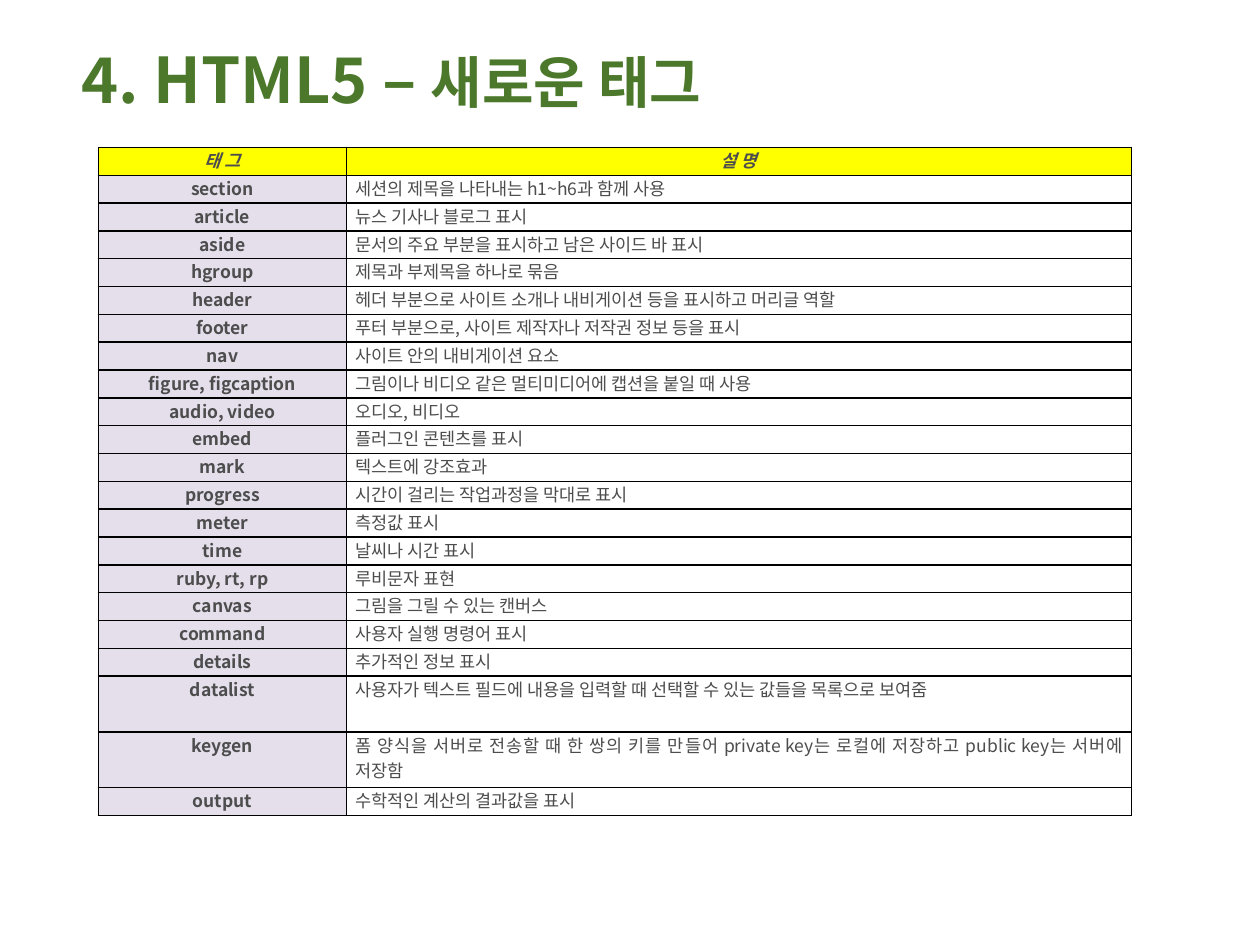
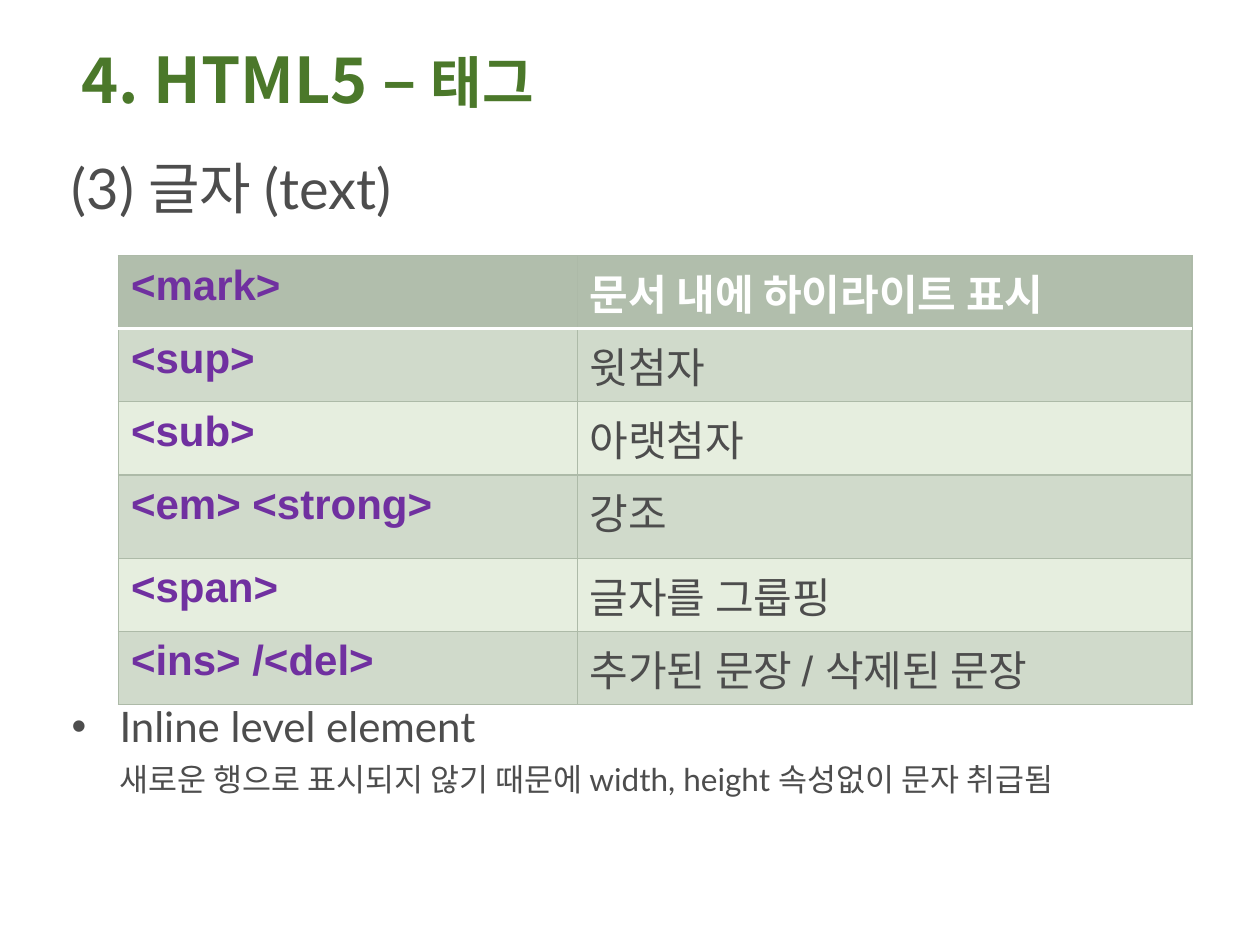
from pptx import Presentation
from pptx.dml.color import RGBColor
from pptx.enum.text import MSO_ANCHOR, PP_ALIGN
from pptx.oxml.ns import qn
from pptx.util import Inches, Pt
from lxml.etree import SubElement

GREEN = RGBColor(0x4B, 0x78, 0x2A)
GRAY = RGBColor(0x4D, 0x4D, 0x4D)
BLACK = RGBColor(0, 0, 0)
WHITE = RGBColor(0xFF, 0xFF, 0xFF)
YELLOW = RGBColor(0xFF, 0xFF, 0)
LILAC = RGBColor(0xE5, 0xDF, 0xEC)
PURPLE = RGBColor(0x70, 0x30, 0xA0)
SAGE = RGBColor(0xB1, 0xBE, 0xAC)
EDGE = RGBColor(0xAD, 0xBA, 0xA8)
BANDS = [RGBColor(0xD0, 0xDA, 0xCB), RGBColor(0xE6, 0xEE, 0xDF)]

KOREAN, BODY, CODE = "Noto Sans CJK KR", "Lato", "Arial"

NEW_TAGS = [
    ("section", "세션의 제목을 나타내는 h1~h6과 함께 사용"),
    ("article", "뉴스 기사나 블로그 표시"),
    ("aside", "문서의 주요 부분을 표시하고 남은 사이드 바 표시"),
    ("hgroup", "제목과 부제목을 하나로 묶음"),
    ("header", "헤더 부분으로 사이트 소개나 내비게이션 등을 표시하고 머리글 역할"),
    ("footer", "푸터 부분으로, 사이트 제작자나 저작권 정보 등을 표시"),
    ("nav", "사이트 안의 내비게이션 요소"),
    ("figure, figcaption", "그림이나 비디오 같은 멀티미디어에 캡션을 붙일 때 사용"),
    ("audio, video", "오디오, 비디오"),
    ("embed", "플러그인 콘텐츠를 표시"),
    ("mark", "텍스트에 강조효과"),
    ("progress", "시간이 걸리는 작업과정을 막대로 표시"),
    ("meter", "측정값 표시"),
    ("time", "날씨나 시간 표시"),
    ("ruby, rt, rp", "루비문자 표현"),
    ("canvas", "그림을 그릴 수 있는 캔버스"),
    ("command", "사용자 실행 명령어 표시"),
    ("details", "추가적인 정보 표시"),
    ("datalist", "사용자가 텍스트 필드에 내용을 입력할 때 선택할 수 있는 값들을 목록으로 보여줌"),
    ("keygen", "폼 양식을 서버로 전송할 때 한 쌍의 키를 만들어 private key는 로컬에 "
               "저장하고 public key는 서버에 저장함"),
    ("output", "수학적인 계산의 결과값을 표시"),
]
TALL = ("datalist", "keygen")

TEXT_TAGS = [
    ("<mark>", "문서 내에 하이라이트 표시"),
    ("<sup>", "윗첨자"),
    ("<sub>", "아랫첨자"),
    ("<em> <strong>", "강조"),
    ("<span>", "글자를 그룹핑"),
    ("<ins> /<del>", "추가된 문장 / 삭제된 문장"),
]


def style(run, size, color, face=KOREAN, bold=False, italic=False):
    font = run.font
    font.size, font.bold, font.italic = Pt(size), bold, italic
    font.name = face
    font.color.rgb = color
    SubElement(run._r.rPr, qn("a:ea")).set("typeface", KOREAN)


def add_box(slide, box, anchor=MSO_ANCHOR.TOP):
    frame = slide.shapes.add_textbox(*map(Inches, box)).text_frame
    frame.word_wrap = True
    frame.vertical_anchor = anchor
    return frame


def add_title(slide, topic):
    frame = add_box(slide, (0.55, 0.31, 7.75, 0.63), MSO_ANCHOR.MIDDLE)
    para = frame.paragraphs[0]
    for text, size in (("4. HTML5 – ", 36), (topic, 32)):
        run = para.add_run()
        run.text = text
        style(run, size, GREEN, bold=True)


def set_edges(cell, edges):
    """Draw cell borders; edges maps L, R, T, B to (colour, points)."""
    props = cell._tc.get_or_add_tcPr()
    for side in "LRTB":
        color, width = edges[side]
        line = SubElement(props, qn("a:ln" + side), w=str(Pt(width)))
        fill = SubElement(line, qn("a:solidFill"))
        SubElement(fill, qn("a:srgbClr"), val=str(color))


def set_cell(cell, text, fill, edges, align=PP_ALIGN.LEFT, **look):
    set_edges(cell, edges)
    if fill is None:
        cell.fill.background()
    else:
        cell.fill.solid()
        cell.fill.fore_color.rgb = fill
    cell.text_frame.text = text
    para = cell.text_frame.paragraphs[0]
    para.alignment = align
    style(para.runs[0], **look)


def add_grid(slide, left, top, widths, heights):
    frame = slide.shapes.add_table(
        len(heights), len(widths), Inches(left), Inches(top),
        Inches(sum(widths)), Inches(sum(heights)))
    table = frame.table
    table.first_row = table.horz_banding = False
    for col, width in zip(table.columns, widths):
        col.width = Inches(width)
    for row, height in zip(table.rows, heights):
        row.height = Inches(height)
    return table


def new_tags_table(slide, left, top, width, height):
    unit = height / (len(NEW_TAGS) + 1 + len(TALL))
    heights = [unit] + [unit * (2 if tag in TALL else 1) for tag, _ in NEW_TAGS]
    table = add_grid(slide, left, top, (1.97, width - 1.97), heights)
    edges = dict.fromkeys("LRTB", (BLACK, 1))
    for r, pair in enumerate([("태 그", "설 명")] + NEW_TAGS):
        for c, text in enumerate(pair):
            cell = table.cell(r, c)
            cell.margin_left = cell.margin_right = Inches(0.07)
            cell.margin_top = cell.margin_bottom = 0
            head, label = r == 0, c == 0
            fill = YELLOW if head else LILAC if label else None
            align = PP_ALIGN.CENTER if head or label else PP_ALIGN.JUSTIFY
            set_cell(cell, text, fill, edges, align, size=10, color=GRAY,
                     bold=head or label, italic=head)


def text_tags_table(slide, left, top, width):
    heights = [0.66 if "strong" in tag else 0.58 for tag, _ in TEXT_TAGS]
    table = add_grid(slide, left, top, (3.64, width - 3.64), heights)
    for r, pair in enumerate(TEXT_TAGS):
        edges = dict.fromkeys("LRTB", (EDGE, 0.75))
        if r < 2:
            edges["B" if r == 0 else "T"] = (WHITE, 2)
        fill = SAGE if r == 0 else BANDS[(r - 1) % 2]
        for c, text in enumerate(pair):
            color = PURPLE if c == 0 else WHITE if r == 0 else GRAY
            set_cell(table.cell(r, c), text, fill, edges, size=24, color=color,
                     face=CODE, bold=r == 0 or c == 0)


def add_heading(slide, box, text):
    frame = add_box(slide, box)
    frame.text = text
    style(frame.paragraphs[0].runs[0], 32, GRAY, BODY)


def add_note(slide, box, point, detail):
    """Place a bulleted point with an indented line below it."""
    frame = add_box(slide, box)
    frame.text = point + "\n" + detail
    first, second = frame.paragraphs
    indent = Inches(0.38)
    for para in (first, second):
        para._p.get_or_add_pPr().set("marL", str(indent))
    props = first._p.get_or_add_pPr()
    props.set("indent", str(-indent))
    SubElement(props, qn("a:buFont"), typeface="Arial")
    SubElement(props, qn("a:buChar"), char="•")
    second.space_before = Pt(5)
    style(first.runs[0], 24, GRAY, BODY)
    style(second.runs[0], 18, GRAY, BODY)


def main():
    deck = Presentation()
    deck.slide_width, deck.slide_height = Inches(10), Inches(7.5)
    blank = deck.slide_layouts[6]

    slide = deck.slides.add_slide(blank)
    add_title(slide, "새로운 태그")
    new_tags_table(slide, 0.78, 1.17, 8.2, 5.31)

    slide = deck.slides.add_slide(blank)
    add_title(slide, "태그")
    add_heading(slide, (0.47, 1.17, 8.98, 0.75), "(3) 글자 (text)")
    text_tags_table(slide, 0.94, 2.03, 8.52)
    add_note(slide, (0.47, 5.51, 8.98, 1.1), "Inline level element",
             "새로운 행으로 표시되지 않기 때문에 width, height 속성없이 문자 취급됨")

    deck.save("out.pptx")


if __name__ == "__main__":
    main()
